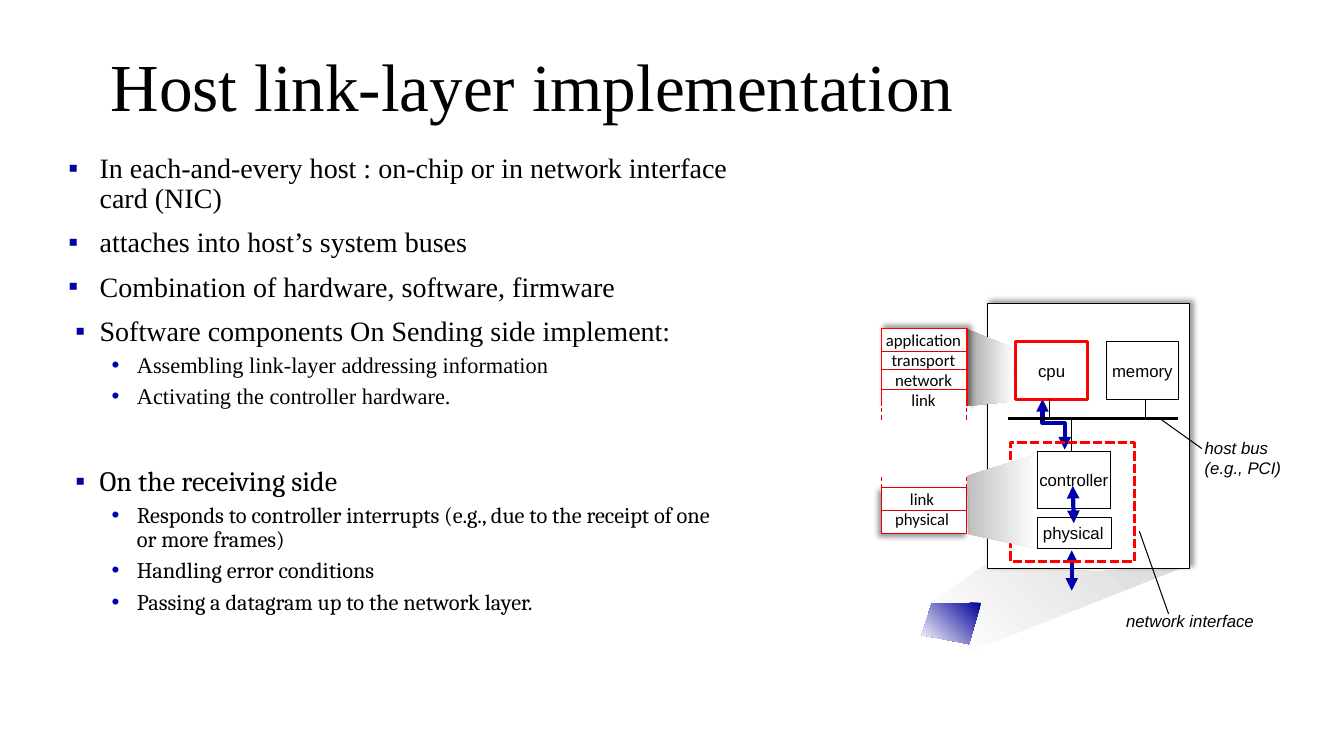
from dataclasses import dataclass

from lxml.etree import SubElement
from pptx import Presentation
from pptx.dml.color import RGBColor
from pptx.enum.dml import MSO_LINE
from pptx.enum.shapes import MSO_CONNECTOR, MSO_SHAPE
from pptx.enum.text import MSO_ANCHOR, PP_ALIGN
from pptx.oxml.ns import qn
from pptx.util import Pt

PX = 9144


@dataclass(frozen=True)
class Theme:
    black: str = "000000"
    white: str = "FFFFFF"
    red: str = "FF0000"
    layer_red: str = "E40000"
    arrow_blue: str = "0000A8"
    bullet_blue: str = "0000A3"
    laptop_blue: str = "000099"
    ground_gray: str = "D9D9D9"
    upper_gray: str = "A6A6A6"
    lower_gray: str = "BFBFBF"
    serif: str = "Times New Roman"
    book: str = "Cambria"
    label: str = "Arial"
    layer: str = "Calibri"
    title_size: int = 48
    point_size: int = 20
    detail_size: int = 16
    label_size: int = 12


THEME = Theme()


def style_font(paragraph, face, size, italic=False):
    paragraph.font.name = face
    paragraph.font.size = Pt(size)
    paragraph.font.italic = italic
    paragraph.font.color.rgb = RGBColor.from_string(THEME.black)


def style_line(line, color, width, dash=None):
    line.color.rgb = RGBColor.from_string(color)
    line.width = Pt(width)
    if dash:
        line.dash_style = dash


def add_arrowheads(shape):
    outline = shape.element.spPr.find(qn("a:ln"))
    for end in ("a:headEnd", "a:tailEnd"):
        SubElement(outline, qn(end), type="triangle")


def add_shadow(shape, angle):
    effects = shape.element.spPr.find(qn("a:effectLst"))
    shadow = SubElement(effects, qn("a:outerShdw"), blurRad=str(Pt(4)), dist=str(Pt(3)),
                        dir=str(angle * 60000), algn="ctr", rotWithShape="0")
    color = SubElement(shadow, qn("a:srgbClr"), val=THEME.black)
    SubElement(color, qn("a:alpha"), val="40000")


def write_lines(frame, lines, face, align, italic=False, wrap=False):
    frame.word_wrap = wrap
    for index, line in enumerate(lines):
        paragraph = frame.add_paragraph() if index else frame.paragraphs[0]
        paragraph.text = line
        paragraph.alignment = align
        style_font(paragraph, face, THEME.label_size, italic)


@dataclass
class Region:
    shapes: object
    left: int
    top: int
    width: int
    height: int

    def place(self, x, y):
        return (self.left + x) * PX, (self.top + y) * PX

    def rect(self, x, y, width, height, fill=THEME.white, color=THEME.black,
             weight=0.75, dash=None, text=None):
        shape = self.shapes.add_shape(MSO_SHAPE.RECTANGLE, *self.place(x, y), width * PX, height * PX)
        shape.shadow.inherit = False
        if fill:
            shape.fill.solid()
            shape.fill.fore_color.rgb = RGBColor.from_string(fill)
        else:
            shape.fill.background()
        if color:
            style_line(shape.line, color, weight, dash)
        else:
            shape.line.fill.background()
        if text:
            shape.text_frame.vertical_anchor = MSO_ANCHOR.MIDDLE
            write_lines(shape.text_frame, [text], THEME.label, PP_ALIGN.CENTER)
        return shape

    def line(self, x1, y1, x2, y2, color=THEME.black, weight=0.75, dash=None, arrows=False):
        connector = self.shapes.add_connector(MSO_CONNECTOR.STRAIGHT, *self.place(x1, y1), *self.place(x2, y2))
        style_line(connector.line, color, weight, dash)
        if arrows:
            add_arrowheads(connector)
        SubElement(connector.element.spPr, qn("a:effectLst"))

    def outline(self, points, close=True):
        corners = [(self.left + x, self.top + y) for x, y in points]
        builder = self.shapes.build_freeform(*corners[0], scale=PX)
        builder.add_line_segments(corners[1:], close=close)
        shape = builder.convert_to_shape()
        shape.shadow.inherit = False
        return shape

    def beam(self, points, start, end, angle=0):
        shape = self.outline(points)
        shape.line.fill.background()
        shape.fill.gradient()
        shape.fill.gradient_angle = angle
        for stop, color in zip(shape.fill.gradient_stops, (start, end)):
            stop.color.rgb = RGBColor.from_string(color)

    def text_box(self, x, y, width, height):
        return self.shapes.add_textbox(*self.place(x, y), width * PX, height * PX).text_frame

    def label(self, x, y, width, height, lines, face=THEME.label, align=PP_ALIGN.CENTER, **style):
        write_lines(self.text_box(x, y, width, height), lines, face, align, **style)


def draw_title(region):
    frame = region.text_box(0, 0, region.width, region.height)
    frame.word_wrap = True
    frame.vertical_anchor = MSO_ANCHOR.MIDDLE
    heading = frame.paragraphs[0]
    heading.text = "Host link-layer implementation"
    heading.line_spacing = 0.9
    style_font(heading, THEME.serif, THEME.title_size)


def draw_points(region):
    wide, narrow, detail = (39, -31), (39, -24), (76, -25)
    points = [
        ("In each-and-every host : on-chip or in network interface card (NIC)", wide, THEME.serif, 0),
        ("attaches into host’s system buses", wide, THEME.serif, 10),
        ("Combination of hardware, software, firmware", wide, THEME.serif, 10),
        ("Software components On Sending side implement:", narrow, THEME.serif, 10),
        ("Assembling link-layer addressing information", detail, THEME.serif, 5),
        ("Activating the controller hardware.", detail, THEME.serif, 5),
        ("On the receiving side", narrow, THEME.book, 41),
        ("Responds to controller interrupts (e.g., due to the receipt of one or more frames)",
         detail, THEME.book, 5),
        ("Handling error conditions", detail, THEME.book, 5),
        ("Passing a datagram up to the network layer.", detail, THEME.book, 5),
    ]
    frame = region.text_box(0, 0, region.width, region.height)
    frame.word_wrap = True
    for index, (text, indents, face, gap) in enumerate(points):
        point = frame.add_paragraph() if index else frame.paragraphs[0]
        point.text = text
        is_detail = indents == detail
        point.level = int(is_detail)
        point.line_spacing = 0.9
        point.space_before = Pt(gap)
        properties = point._p.get_or_add_pPr()
        margin, hanging = indents
        properties.set("marL", str(margin * PX))
        properties.set("indent", str(hanging * PX))
        tint = SubElement(properties, qn("a:buClr"))
        SubElement(tint, qn("a:srgbClr"), val=THEME.arrow_blue if is_detail else THEME.bullet_blue)
        SubElement(properties, qn("a:buFont"), typeface=THEME.label)
        SubElement(properties, qn("a:buChar"), char="•" if is_detail else "▪")
        style_font(point, face, THEME.detail_size if is_detail else THEME.point_size)


def draw_laptop(region):
    region.beam([(14, 41), (17, 33), (62, 1), (175, 7), (266, 0), (46, 87)],
                THEME.white, THEME.ground_gray, 45)
    region.beam([(59, 38), (10, 39), (0, 70), (47, 79)], THEME.laptop_blue, THEME.white, 225)


def draw_host(region):
    blue_arrow = dict(color=THEME.arrow_blue, weight=3, arrows=True)
    add_shadow(region.rect(0, 0, region.width, region.height), 315)
    region.rect(50, 212, 73, 31)
    region.rect(50, 147, 72, 57, text="controller")
    region.label(45, 213, 81, 50, ["physical"])
    cpu_link = region.outline([(55, 95), (55, 119), (77, 119), (77, 145)], close=False)
    cpu_link.fill.background()
    style_line(cpu_link.line, THEME.arrow_blue, 3)
    add_arrowheads(cpu_link)
    region.line(21, 114, 189, 114, weight=2.25)
    region.line(84, 147, 84, 115)
    region.rect(28, 38, 72, 57, color=THEME.red, weight=2.25, text="cpu")
    region.rect(118, 38, 72, 57, text="memory")
    for drop in (62, 157):
        region.line(drop, 114, drop, 95)
    region.label(206, 128, 114, 50, ["host bus", "(e.g., PCI)"], align=PP_ALIGN.LEFT, italic=True, wrap=True)
    region.line(85, 181, 86, 218, **blue_arrow)
    region.line(84, 245, 84, 285, **blue_arrow)
    region.line(213, 144, 171, 114)
    region.label(128, 300, 148, 30, ["network interface"], align=PP_ALIGN.LEFT, italic=True)
    region.line(180, 308, 151, 226)
    region.rect(23, 138, 123, 118, fill=None, color=THEME.red, weight=2.25, dash=MSO_LINE.SQUARE_DOT)


def draw_layers(region, layers, label_box, dividers, beam, gray, border, shadow_angle, ticks, cover=None):
    region.beam(beam, gray, THEME.white)
    color, weight = border
    add_shadow(region.rect(0, 0, region.width, region.height, color=color, weight=weight), shadow_angle)
    region.label(*label_box, layers, face=THEME.layer)
    for y in dividers:
        region.line(0, y, region.width, y, THEME.layer_red)
    if cover:
        region.rect(*cover, color=None)
    for x in (0, region.width):
        region.line(x, ticks[0], x, ticks[1], THEME.layer_red, dash=MSO_LINE.DASH)


def main():
    deck = Presentation()
    deck.slide_width, deck.slide_height = 1333 * PX, 750 * PX
    shapes = deck.slides.add_slide(deck.slide_layouts[6]).shapes
    draw_title(Region(shapes, 100, 40, 1150, 98))
    draw_points(Region(shapes, 50, 148, 687, 550))
    draw_laptop(Region(shapes, 914, 560, 266, 87))
    draw_host(Region(shapes, 979, 301, 201, 263))
    draw_layers(Region(shapes, 874, 484, 85, 45), ["link", "physical"], (3, -4, 75, 51), [22],
                [(154, -33), (85, -12), (86, 46), (154, 60)], THEME.lower_gray,
                (THEME.layer_red, 0.75), 135, (-11, 0))
    draw_layers(Region(shapes, 874, 326, 85, 80), ["application", "transport", "network", "link"],
                (-6, -4, 96, 91), [23, 41, 60], [(130, 19), (84, 0), (85, 77), (132, 72)],
                THEME.upper_gray, (THEME.red, 1), 315, (79, 91), cover=(-7, 77, 96, 20))
    deck.save("out.pptx")


if __name__ == "__main__":
    main()
